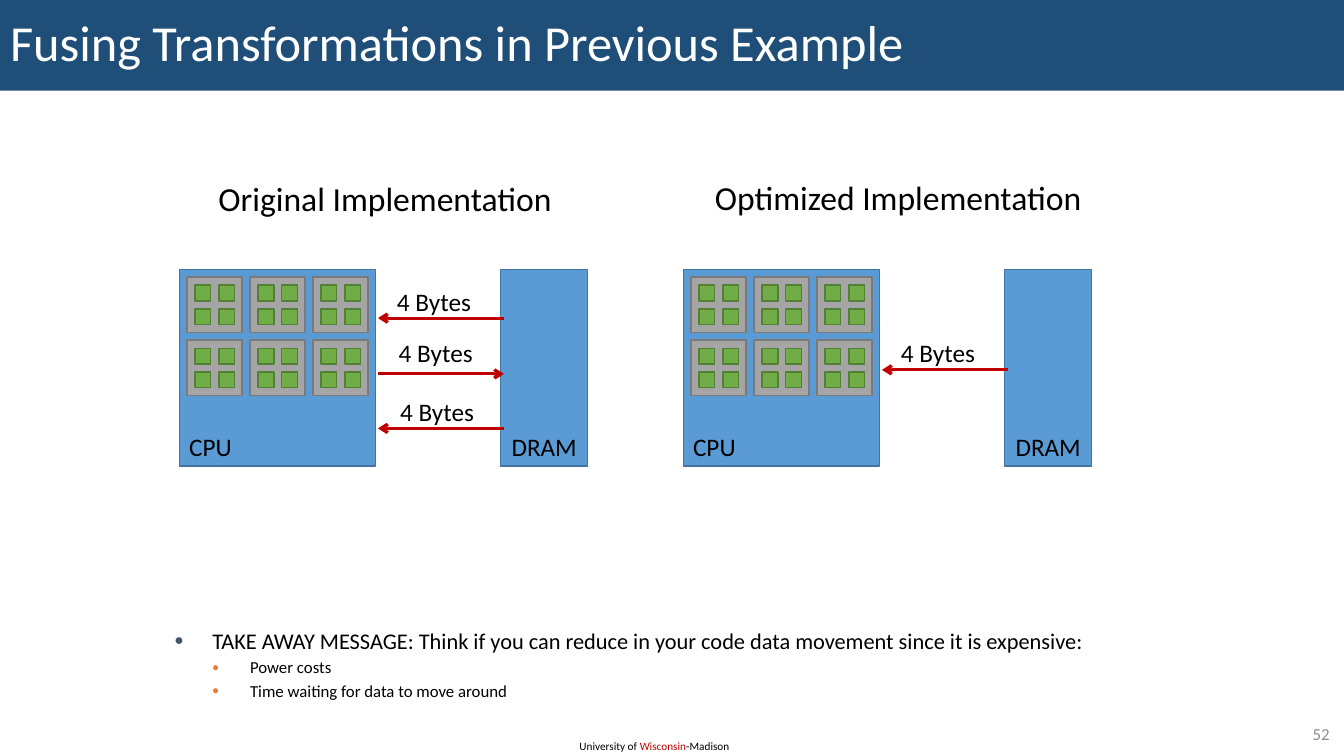
from lxml import etree
from pptx import Presentation
from pptx.dml.color import RGBColor
from pptx.enum.shapes import MSO_CONNECTOR, MSO_SHAPE
from pptx.enum.text import MSO_ANCHOR, MSO_AUTO_SIZE, PP_ALIGN
from pptx.oxml.ns import qn
from pptx.util import Pt

RECTANGLE = MSO_SHAPE.RECTANGLE
STRAIGHT = MSO_CONNECTOR.STRAIGHT
LEFT, CENTER, RIGHT = PP_ALIGN.LEFT, PP_ALIGN.CENTER, PP_ALIGN.RIGHT
TOP, MIDDLE = MSO_ANCHOR.TOP, MSO_ANCHOR.MIDDLE
NO_FIT = MSO_AUTO_SIZE.NONE

FONT = "Calibri"
COLORS = {
    "banner": "1F4E79", "white": "FFFFFF", "black": "000000",
    "number": "8C8C8C", "red": "C00000",
    "chip": "5B9BD5", "chip_line": "43739E",
    "core": "A5A5A5", "core_line": "7A7A7A",
    "unit": "70AD47", "unit_line": "538035",
    "bullet": "44546A", "sub_bullet": "ED7D31",
}

# Panel geometry, in points
PANEL_TOP = 192.4
CHIP_HEIGHT = 140.4
CPU_WIDTH = 140.4
DRAM_OFFSET, DRAM_WIDTH = 229.7, 62
CORE_INSET, CORE_SIZE, CORE_PITCH = 5.6, 39.4, 45
UNIT_INSET, UNIT_SIZE, UNIT_PITCH = 5.7, 11.3, 17
ARROW_START, ARROW_END = 142, 232

# Panels: left edge, caption, caption box, transfers
# Transfers: label left and top, arrow height, direction
PANELS = [
    (128, "Original Implementation", (147.6, 123.8, 255),
     [(148.5, 200.9, 227.2, "read"),
      (149.7, 237.6, 267.1, "write"),
      (150.7, 279.4, 306, "read")]),
    (488, "Optimized Implementation", (501.8, 123.1, 279.4),
     [(148.5, 237.6, 264.2, "read")]),
]

TAKEAWAYS = [
    ("TAKE AWAY MESSAGE: Think if you can reduce in your code data movement "
     "since it is expensive:", 0, 16, "bullet"),
    ("Power costs", 1, 12, "sub_bullet"),
    ("Time waiting for data to move around", 1, 12, "sub_bullet"),
]


def rgb(name):
    return RGBColor.from_string(COLORS[name])


def place(box, left, top, width, height):
    frame = {"left": left, "top": top, "width": width, "height": height}
    for name, value in frame.items():
        setattr(box, name, Pt(value))


def add_span(para, text, size, color):
    span = para.add_run()
    span.text = text
    for name, value in {"name": FONT, "size": Pt(size), "bold": False}.items():
        setattr(span.font, name, value)
    span.font.color.rgb = rgb(color)


def add_text(page, frame, spans, size, align=LEFT, anchor=TOP, wrap=False):
    """Add a one-line text box; spans are (text, color) pairs."""
    box = page.shapes.add_textbox(*map(Pt, frame))
    box.text_frame.word_wrap = wrap
    box.text_frame.vertical_anchor = anchor
    para = box.text_frame.paragraphs[0]
    para.alignment = align
    for text, color in spans:
        add_span(para, text, size, color)


def add_block(page, left, top, width, height, kind):
    block = page.shapes.add_shape(RECTANGLE, Pt(left), Pt(top), Pt(width), Pt(height))
    block.shadow.inherit = False
    block.fill.solid()
    block.fill.fore_color.rgb = rgb(kind)
    block.line.color.rgb = rgb(kind + "_line")
    block.line.width = Pt(1)


def add_arrow(page, start, end, y):
    arrow = page.shapes.add_connector(STRAIGHT, Pt(start), Pt(y), Pt(end), Pt(y))
    arrow.line.color.rgb = rgb("red")
    arrow.line.width = Pt(2.25)
    etree.SubElement(arrow.line._get_or_add_ln(), qn("a:tailEnd"), type="arrow")
    etree.SubElement(arrow._element.spPr, qn("a:effectLst"))


def add_core(page, left, top):
    add_block(page, left, top, CORE_SIZE, CORE_SIZE, "core")
    for row in range(2):
        for column in range(2):
            add_block(page, left + UNIT_INSET + column * UNIT_PITCH,
                      top + UNIT_INSET + row * UNIT_PITCH,
                      UNIT_SIZE, UNIT_SIZE, "unit")


def add_panel(page, left, caption, caption_box, transfers):
    add_text(page, (*caption_box, 36), [(caption, "black")], 24, CENTER)

    # Chips and their names
    dram_left = left + DRAM_OFFSET
    add_block(page, left, PANEL_TOP, CPU_WIDTH, CHIP_HEIGHT, "chip")
    add_block(page, dram_left, PANEL_TOP, DRAM_WIDTH, CHIP_HEIGHT, "chip")
    add_text(page, (left, 304.6, 45.4, 29), [("CPU", "black")], 18)
    add_text(page, (dram_left + 0.6, 304.6, 62, 29), [("DRAM", "black")], 18)

    # Cores of the CPU
    for row in range(2):
        for column in range(3):
            add_core(page, left + CORE_INSET + column * CORE_PITCH,
                     PANEL_TOP + CORE_INSET + row * CORE_PITCH)

    # Transfers between the chips
    for label_left, label_top, y, direction in transfers:
        add_text(page, (left + label_left, label_top, 67.7, 29),
                 [("4 Bytes", "black")], 18)
        ends = (left + ARROW_START, left + ARROW_END)
        start, end = ends if direction == "write" else ends[::-1]
        add_arrow(page, start, end, y)


def fill_title(title, text):
    place(title, 0, 0, 960, 64.8)
    title.fill.solid()
    title.fill.fore_color.rgb = rgb("banner")
    settings = {"auto_size": NO_FIT, "word_wrap": True, "vertical_anchor": MIDDLE}
    for name, value in settings.items():
        setattr(title.text_frame, name, value)
    para = title.text_frame.paragraphs[0]
    para.alignment = LEFT
    para.line_spacing = 0.9
    add_span(para, text, 36, "white")


def add_bullet(para, level, color):
    properties = para._p.get_or_add_pPr()
    properties.set("marL", str(Pt(27 * (level + 1))))
    properties.set("indent", str(Pt(-27)))
    bullet_color = etree.SubElement(properties, qn("a:buClr"))
    etree.SubElement(bullet_color, qn("a:srgbClr"), val=COLORS[color])
    etree.SubElement(properties, qn("a:buSzPct"), val="70000")
    etree.SubElement(properties, qn("a:buChar"), char="●")


def fill_list(body, items):
    place(body, 117.4, 444.2, 684, 69)
    body.text_frame.auto_size = NO_FIT
    for index, (text, level, size, color) in enumerate(items):
        para = body.text_frame.paragraphs[0] if index == 0 else body.text_frame.add_paragraph()
        para.level = level
        add_bullet(para, level, color)
        para.space_before = Pt(0.2 * size if index else 0)
        add_span(para, text, size, "black")


def main():
    deck = Presentation()
    deck.slide_width, deck.slide_height = Pt(960), Pt(540)
    page = deck.slides.add_slide(deck.slide_layouts[1])

    # Title and takeaways
    fill_title(page.shapes.title, "Fusing Transformations in Previous Example")
    fill_list(page.placeholders[1], TAKEAWAYS)

    # Both implementations
    for panel in PANELS:
        add_panel(page, *panel)

    # Footer and slide number
    add_text(page, (406.8, 524.2, 123.8, 17),
             [("University of ", "black"), ("Wisconsin", "red"), ("-Madison", "black")],
             8, wrap=True)
    add_text(page, (902.2, 513.4, 54.7, 21), [("52", "number")], 12, RIGHT, MIDDLE, True)

    deck.save("out.pptx")


if __name__ == "__main__":
    main()
